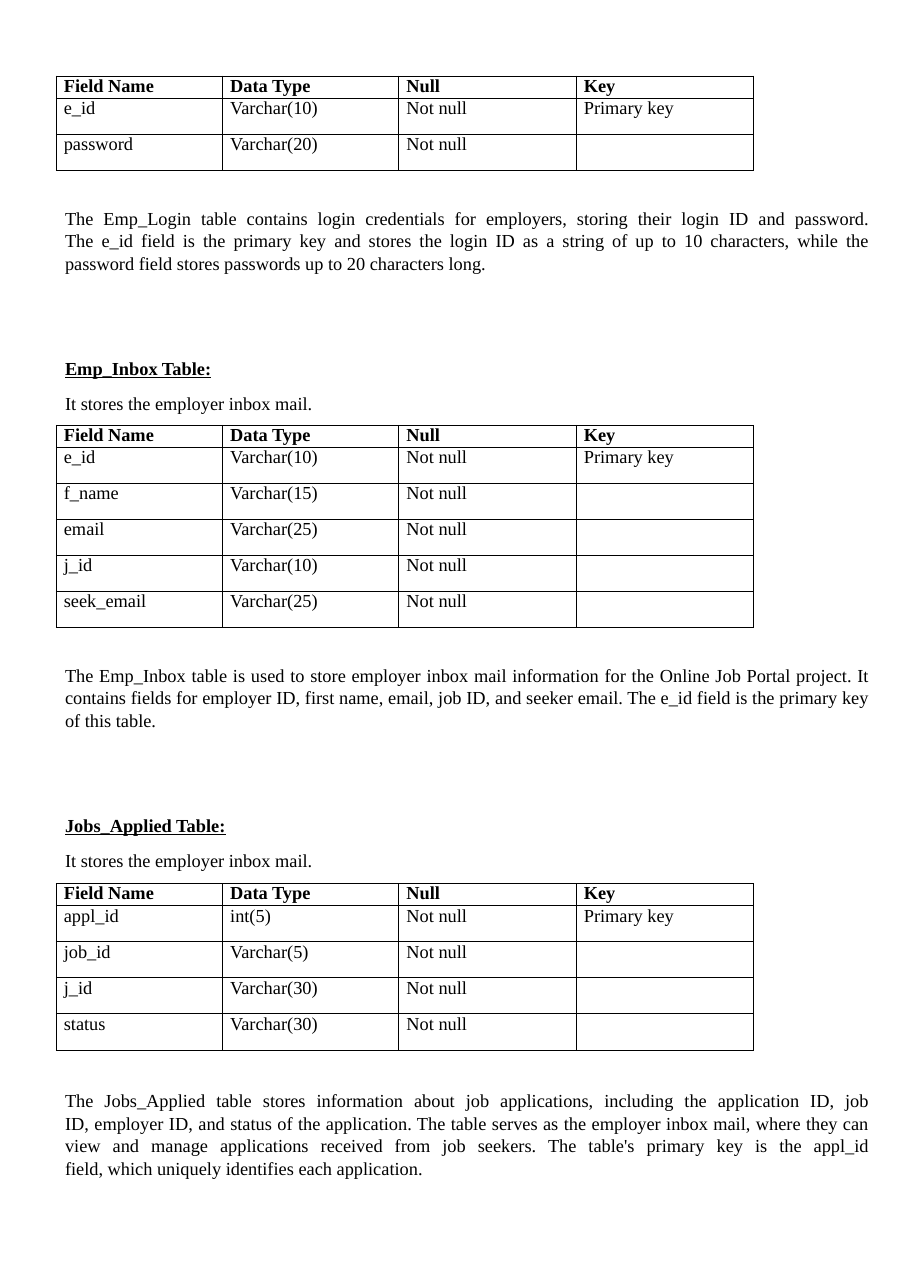
from lxml import etree
from pptx import Presentation
from pptx.dml.color import RGBColor
from pptx.enum.text import MSO_ANCHOR, PP_ALIGN
from pptx.oxml.ns import qn
from pptx.util import Inches, Pt

JUSTIFY = PP_ALIGN.JUSTIFY
LEFT = PP_ALIGN.LEFT
TOP = MSO_ANCHOR.TOP

FONT = "Times New Roman"
BLACK = "000000"
HEADER = ("Field Name", "Data Type", "Null", "Key")
COLUMN_WIDTHS = (1.51, 1.6, 1.61, 1.61)
TABLE_LEFT = 0.51
TEXT_LEFT = 0.59
HEADER_HEIGHT = 0.2
BORDER_WIDTH = 0.58

SECTIONS = [
    {
        "heading": None,
        "table_top": 0.69,
        "table_height": 0.86,
        "fields": [("e_id", "Varchar(10)"), ("password", "Varchar(20)")],
        "note_top": 1.87,
        "note_height": 0.61,
        "note": [
            "The Emp_Login table contains login credentials for employers, "
            "storing their login ID and password.",
            "The e_id field is the primary key and stores the login ID as a string "
            "of up to 10 characters, while the password field stores passwords "
            "up to 20 characters long.",
        ],
    },
    {
        "heading": ("Emp_Inbox Table:", "It stores the employer inbox mail."),
        "heading_top": 3.24,
        "table_top": 3.86,
        "table_height": 1.83,
        "fields": [
            ("e_id", "Varchar(10)"),
            ("f_name", "Varchar(15)"),
            ("email", "Varchar(25)"),
            ("j_id", "Varchar(10)"),
            ("seek_email", "Varchar(25)"),
        ],
        "note_top": 6.02,
        "note_height": 0.61,
        "note": [
            "The Emp_Inbox table is used to store employer inbox mail information "
            "for the Online Job Portal project. It contains fields for employer ID, "
            "first name, email, job ID, and seeker email. The e_id field is the "
            "primary key of this table.",
        ],
    },
    {
        "heading": ("Jobs_Applied Table:", "It stores the employer inbox mail."),
        "heading_top": 7.39,
        "table_top": 8.02,
        "table_height": 1.51,
        "fields": [
            ("appl_id", "int(5)"),
            ("job_id", "Varchar(5)"),
            ("j_id", "Varchar(30)"),
            ("status", "Varchar(30)"),
        ],
        "note_top": 9.88,
        "note_height": 0.81,
        "note": [
            "The Jobs_Applied table stores information about job applications, "
            "including the application ID, job",
            "ID, employer ID, and status of the application. The table serves as the "
            "employer inbox mail, where they can view and manage applications "
            "received from job seekers. The table's primary key is the appl_id",
            "field, which uniquely identifies each application.",
        ],
    },
]


def color(value):
    return RGBColor.from_string(value)


def add_run(paragraph, text, bold=False, underline=False):
    run = paragraph.add_run()
    run.text = text
    run.font.name = FONT
    run.font.size = Pt(12)
    run.font.bold = bold
    run.font.underline = underline
    run.font.color.rgb = color(BLACK)


def add_text_frame(slide, top, width, height):
    box = slide.shapes.add_textbox(
        Inches(TEXT_LEFT), Inches(top), Inches(width), Inches(height))
    frame = box.text_frame
    frame.word_wrap = True
    frame.margin_left = frame.margin_right = 0
    frame.margin_top = frame.margin_bottom = 0
    return frame


def add_heading(slide, top, title, summary):
    frame = add_text_frame(slide, top, 2.28, 0.51)
    add_run(frame.paragraphs[0], title, bold=True, underline=True)
    paragraph = frame.add_paragraph()
    paragraph.space_before = Pt(8.25)
    add_run(paragraph, summary)


def add_note(slide, top, height, lines):
    paragraph = add_text_frame(slide, top, 7.31, height).paragraphs[0]
    paragraph.alignment = JUSTIFY
    paragraph.line_spacing = 1.03
    for index, line in enumerate(lines):
        if index:
            paragraph.add_line_break()
        add_run(paragraph, line)


def add_borders(cell):
    properties = cell._tc.get_or_add_tcPr()
    for position, side in enumerate(("a:lnL", "a:lnR", "a:lnT", "a:lnB")):
        line = etree.Element(qn(side), w=str(Pt(BORDER_WIDTH)))
        fill = etree.SubElement(line, qn("a:solidFill"))
        etree.SubElement(fill, qn("a:srgbClr"), val=BLACK)
        properties.insert(position, line)


def add_field_table(slide, top, height, fields):
    rows = [HEADER]
    for index, (name, data_type) in enumerate(fields):
        rows.append((name, data_type, "Not null", "" if index else "Primary key"))
    table = slide.shapes.add_table(
        len(rows), len(HEADER), Inches(TABLE_LEFT), Inches(top),
        Inches(sum(COLUMN_WIDTHS)), Inches(height)).table
    table.first_row = False
    table.horz_banding = False
    for column, width in zip(table.columns, COLUMN_WIDTHS):
        column.width = Inches(width)
    field_height = (height - HEADER_HEIGHT) / len(fields)
    for row_index, texts in enumerate(rows):
        row = table.rows[row_index]
        row.height = Inches(field_height if row_index else HEADER_HEIGHT)
        for cell, text in zip(row.cells, texts):
            cell.margin_left = Inches(0.07)
            cell.margin_right = cell.margin_top = cell.margin_bottom = 0
            cell.vertical_anchor = TOP
            cell.fill.background()
            add_borders(cell)
            paragraph = cell.text_frame.paragraphs[0]
            paragraph.alignment = LEFT
            if text:
                add_run(paragraph, text, bold=row_index == 0)


def main():
    presentation = Presentation()
    presentation.slide_width = Inches(8.26)
    presentation.slide_height = Inches(11.69)
    slide = presentation.slides.add_slide(presentation.slide_layouts[6])
    for section in SECTIONS:
        if section["heading"]:
            add_heading(slide, section["heading_top"], *section["heading"])
        add_field_table(
            slide, section["table_top"], section["table_height"], section["fields"])
        add_note(slide, section["note_top"], section["note_height"], section["note"])
    presentation.save("out.pptx")


if __name__ == "__main__":
    main()
